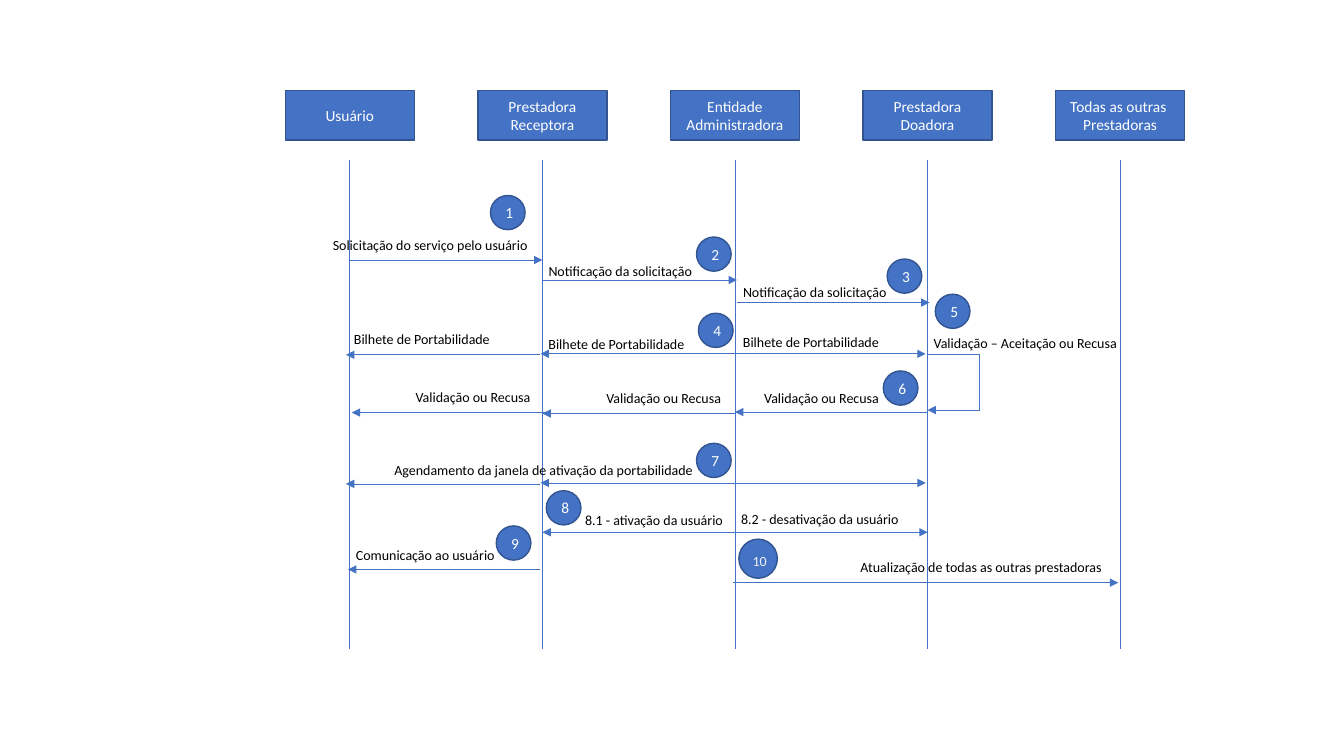
from lxml import etree
from pptx import Presentation
from pptx import util as u
from pptx.dml.color import RGBColor
from pptx.enum import shapes, text
from pptx.oxml.ns import qn

COLORS = {"blue": "4472C4", "edge": "325491", "white": "FFFFFF",
          "black": "000000", "pale": "F2F2F2"}


class SequenceDiagram:
    """Grid: column 0 is the first lifeline, row 0 is the top of the lifelines."""
    font = "Calibri"
    left, top = 3.47, 1.59
    col, row = 1.91, 0.485

    def __init__(self, slide):
        self.s = slide

    def x(self, c):
        return u.Inches(self.left + c * self.col)

    def y(self, r):
        return u.Inches(self.top + r * self.row)

    def box(self, c, r, w, h):
        return self.x(c), self.y(r), u.Inches(w * self.col), u.Inches(h * self.row)

    def fill_text(self, tf, lines, size, color, align, frame):
        for name, value in frame.items():
            setattr(tf, name, value)
        for i, line in enumerate(lines.split("\n")):
            p = tf.paragraphs[0] if i == 0 else tf.add_paragraph()
            p.alignment = align
            r = p.add_run()
            r.text = line
            for name, value in {"name": self.font, "size": u.Pt(size)}.items():
                setattr(r.font, name, value)
            r.font.color.rgb = RGBColor.from_string(COLORS[color])

    def shape(self, kind, c, r, w, h, words=""):
        sp = self.s.shapes.add_shape(kind, *self.box(c, r, w, h))
        sp.shadow.inherit = False
        sp.fill.solid()
        sp.fill.fore_color.rgb = RGBColor.from_string(COLORS["blue"])
        sp.line.color.rgb = RGBColor.from_string(COLORS["edge"])
        sp.line.width = u.Pt(1)
        if words:
            self.fill_text(sp.text_frame, words, 11, "white", text.PP_ALIGN.CENTER,
                           {"vertical_anchor": text.MSO_ANCHOR.MIDDLE})

    def label(self, words, c, r, w, color="black"):
        sp = self.s.shapes.add_textbox(*self.box(c, r, w, 0.56))
        self.fill_text(sp.text_frame, words, 10, color, text.PP_ALIGN.LEFT,
                       {"word_wrap": False,
                        "auto_size": text.MSO_AUTO_SIZE.SHAPE_TO_FIT_TEXT})

    def line(self, c1, r1, c2, r2, arrow=False):
        sp = self.s.shapes.add_connector(shapes.MSO_CONNECTOR.STRAIGHT, self.x(c1),
                                         self.y(r1), self.x(c2), self.y(r2))
        sp.line.color.rgb = RGBColor.from_string(COLORS["blue"])
        sp.line.width = u.Pt(0.5)
        props = sp.element.spPr
        if arrow:
            etree.SubElement(props.find(qn("a:ln")), qn("a:tailEnd"), type="triangle")
        etree.SubElement(props, qn("a:effectLst"))

    def participant(self, lane, name):
        self.line(lane, 0, lane, 10)
        self.shape(shapes.MSO_SHAPE.RECTANGLE, lane - 0.335, -1.42, 0.67, 1.01, name)

    def step(self, number, c, r):
        self.shape(shapes.MSO_SHAPE.OVAL, c, r, 0.18, 0.7, str(number))


PARTICIPANTS = ["Usuário", "Prestadora Receptora", "Entidade Administradora",
                "Prestadora Doadora", "Todas as outras \nPrestadoras"]

# Start column, end column, row
MESSAGES = [
    (0, 1, 2.04), (1, 2.01, 2.45), (2.01, 3.01, 2.91),
    (2, 0.99, 3.96), (0.99, -0.02, 3.98), (1.99, 2.99, 3.96),
    (3, 2, 5.15), (2, 1, 5.18), (1.02, 0.01, 5.16),
    (2, 0.99, 6.6), (0.99, -0.02, 6.62), (1.99, 2.99, 6.6),
    (2, 1, 7.61), (1.99, 3, 7.61), (0.99, -0.01, 8.37), (1.99, 3.99, 8.64),
]

# Text, width in columns, places as (column, row)
LABELS = [
    ("Solicitação do serviço pelo usuário", 1.13, [(-0.14, 1.46)]),
    ("Notificação da solicitação", 0.88, [(0.98, 1.98), (1.99, 2.43)]),
    ("Bilhete de Portabilidade", 0.82, [(0.98, 3.48), (-0.03, 3.38), (1.99, 3.44)]),
    ("Validação ou Recusa", 0.71, [(2.1, 4.58), (1.28, 4.58), (0.29, 4.56)]),
    ("Validação – Aceitação ou Recusa", 1.07, [(2.98, 3.46)]),
    ("Agendamento da janela de ativação da portabilidade", 1.68, [(0.18, 6.06)]),
    ("8.1 - ativação da usuário", 0.83, [(1.17, 7.09)]),
    ("8.2 - desativação da usuário", 0.97, [(1.98, 7.07)]),
    ("Comunicação ao usuário", 0.83, [(-0.02, 7.79)]),
    ("Atualização de todas as outras prestadoras", 1.38, [(2.6, 8.04)]),
]

STEPS = [(0.73, 0.72), (1.8, 1.57), (2.79, 2.02), (1.81, 3.13), (3.04, 2.74),
         (2.77, 4.31), (1.8, 5.79), (1.02, 6.76), (0.76, 7.48)]


def main():
    prs = Presentation()
    prs.slide_width, prs.slide_height = u.Inches(13.33), u.Inches(7.5)
    d = SequenceDiagram(prs.slides.add_slide(prs.slide_layouts[6]))

    # Participants and lifelines
    for lane, name in enumerate(PARTICIPANTS):
        d.participant(lane, name)

    # Messages
    for start, end, row in MESSAGES:
        d.line(start, row, end, row, arrow=True)

    # Validation loop
    d.line(3, 3.98, 3.27, 3.98)
    d.line(3.27, 3.98, 3.27, 5.11)
    d.line(3.27, 5.11, 3, 5.11, arrow=True)

    # Message labels
    for words, width, places in LABELS:
        for c, r in places:
            d.label(words, c, r, width)

    # Numbered steps; the two-digit one is larger, with its number on top
    for number, (c, r) in enumerate(STEPS, 1):
        d.step(number, c, r)
    d.shape(shapes.MSO_SHAPE.OVAL, 2.02, 7.75, 0.2, 0.8)
    d.label("10", 2.04, 7.92, 0.18, "pale")

    prs.save("out.pptx")


if __name__ == "__main__":
    main()
